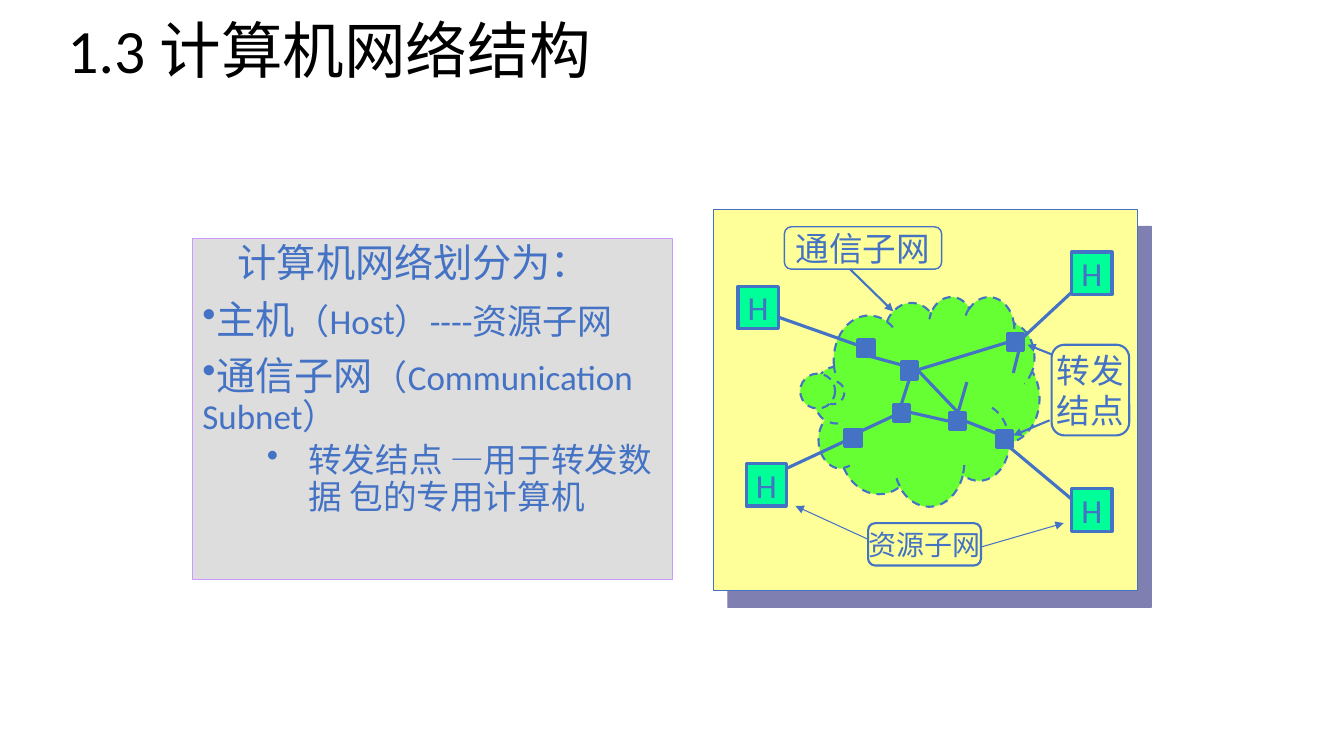
import pptx
import pptx.util
import pptx.dml.color
import pptx.enum.dml
import pptx.enum.shapes
import pptx.enum.text
import pptx.oxml
import pptx.oxml.ns

KIND = pptx.enum.shapes.MSO_SHAPE
ANCHOR = pptx.enum.text.MSO_ANCHOR
ALIGN = pptx.enum.text.PP_ALIGN
NS = pptx.oxml.ns.nsdecls("a")
COLS, ROWS = 1333, 750
CELL = pptx.util.Inches(0.01)
BLUE = "4472C4"

HOSTS = [(24, 76), (355, 42), (355, 277), (32, 252)]
NODES = [(143, 129), (186, 151), (291, 123), (178, 193),
         (234, 201), (130, 218), (280, 219)]
LINKS = [(65, 260, 138, 226), (48, 101, 147, 136), (371, 67, 299, 134),
         (363, 294, 283, 227), (194, 168, 186, 193), (202, 159, 242, 201),
         (194, 201, 234, 210), (202, 159, 290, 132), (250, 210, 283, 223),
         (139, 223, 186, 201), (153, 145, 197, 157), (242, 202, 251, 171),
         (297, 162, 303, 138)]
ARROWS = [((153, 327, 81, 294), 0.75), ((264, 335, 347, 311), 0.75),
          ((135, 59, 178, 101), 1.5), ((336, 144, 311, 134), 1.5),
          ((333, 209, 297, 224), 1.5)]
LABELS = [(["资源子网"], (153, 311, 112, 42), 20, 1.5),
          (["通信子网"], (70, 17, 156, 42), 24, 1),
          (["转发", "结点"], (335, 134, 77, 90), 24, 1.5)]


def tint(code):
    """Turn a hex string into a colour."""
    return pptx.dml.color.RGBColor.from_string(code)


def inside(box, part):
    """Shift a part given in cells into its box."""
    return (box[0] + part[0], box[1] + part[1]) + tuple(part[2:])


def add(slide, kind, box, fill=None, line=BLUE, width=2.25):
    """Add a flat preset shape at a box given in cells."""
    shape = slide.shapes.add_shape(kind, *(n * CELL for n in box))
    shape.shadow.inherit = False
    if fill:
        shape.fill.solid()
        shape.fill.fore_color.rgb = tint(fill)
    else:
        shape.fill.background()
    shape.line.color.rgb = tint(line)
    shape.line.width = pptx.util.Pt(width)
    return shape


def join(slide, box, ends, width=2.25, arrow=False):
    """Draw a straight line between two points of a box."""
    x, y = box[:2]
    ends = [(n + o) * CELL for n, o in zip(ends, (x, y, x, y))]
    line = slide.shapes.add_connector(
        pptx.enum.shapes.MSO_CONNECTOR.STRAIGHT, *ends)
    line.line.color.rgb = tint(BLUE)
    line.line.width = pptx.util.Pt(width)
    if arrow:
        line.line._get_or_add_ln().append(
            pptx.oxml.parse_xml(f'<a:tailEnd {NS} type="triangle"/>'))
    line._element.spPr.append(pptx.oxml.parse_xml(f"<a:effectLst {NS}/>"))


def write(frame, *runs, size=24, color=BLUE, align=ALIGN.LEFT, gap=0,
          space=1.0, bullet=False, left=0, indent=0):
    """Write one paragraph whose runs are texts or (text, size, font)."""
    para = frame.paragraphs[0]
    if para.runs:
        para = frame.add_paragraph()
    props = para._p.get_or_add_pPr()
    props.set("marL", str(left * CELL))
    props.set("indent", str(indent * CELL))
    if bullet:
        props.append(pptx.oxml.parse_xml(f'<a:buChar {NS} char="•"/>'))
    para.alignment, para.line_spacing = align, space
    para.space_before = pptx.util.Pt(gap)
    for item in runs:
        words, points, face = (
            (item, size, "Calibri") if isinstance(item, str) else item)
        run = para.add_run()
        run.text = words
        run.font.size, run.font.name = pptx.util.Pt(points), face
        run.font.color.rgb = tint(color)


def label(shape, lines, size=24):
    """Centre lines of text in a shape."""
    frame = shape.text_frame
    frame.word_wrap = False
    frame.vertical_anchor = ANCHOR.MIDDLE
    for words in lines:
        write(frame, words, size=size, align=ALIGN.CENTER)


def title(slide, box):
    """Place the slide heading."""
    frame = slide.shapes.add_textbox(*(n * CELL for n in box)).text_frame
    frame.word_wrap = True
    frame.vertical_anchor = ANCHOR.MIDDLE
    write(frame, "1.3 计算机网络结构", size=44, color="000000",
          space=0.9, left=28)


def body(slide, box):
    """Place the grey panel with the bullet list."""
    frame = add(slide, KIND.RECTANGLE, box, "DDDDDD", "CC99FF", 0.75).text_frame
    frame.word_wrap = True
    frame.vertical_anchor = ANCHOR.TOP
    write(frame, "计算机网络划分为：", size=28, space=0.9, indent=35)
    for head, tail in [("主机", "（Host）----资源子网"),
                       ("通信子网", "（Communication Subnet）")]:
        write(frame, head, (tail, 25, "Calibri"), size=28, space=0.9,
              gap=10, bullet=True)
    write(frame, "转发结点 ", ("—", 24, "Arial"), "用于转发数据 包的专用计算机",
          space=0.9, gap=5, bullet=True, left=105, indent=-41)


def diagram(slide, box):
    """Place the network diagram on its yellow panel."""
    panel = add(slide, KIND.RECTANGLE, box, "FFFF99", width=0.75)
    effects = panel._element.spPr.find(pptx.oxml.ns.qn("a:effectLst"))
    effects.append(pptx.oxml.parse_xml(
        f'<a:outerShdw {NS} blurRad="0" dist="{pptx.util.Pt(15.6)}" '
        'dir="3000000" algn="ctr" rotWithShape="0"><a:srgbClr val="000066">'
        '<a:alpha val="50000"/></a:srgbClr></a:outerShdw>'))
    cloud = add(slide, KIND.CLOUD_CALLOUT, inside(box, (99, 86, 224, 208)),
                "66FF33", width=1.5)
    cloud.adjustments[0], cloud.adjustments[1] = -0.4, -0.04
    cloud.line.dash_style = pptx.enum.dml.MSO_LINE.DASH
    for ends in LINKS:
        join(slide, box, ends)
    for spot in HOSTS:
        host = add(slide, KIND.RECTANGLE, inside(box, spot + (40, 42)), "00FF99")
        label(host, ["H"])
    for spot in NODES:
        add(slide, KIND.RECTANGLE, inside(box, spot + (16, 17)), BLUE)
    for lines, part, size, width in LABELS:
        tag = add(slide, KIND.ROUNDED_RECTANGLE, inside(box, part), width=width)
        label(tag, lines, size)
    for ends, width in ARROWS:
        join(slide, box, ends, width, arrow=True)


def main():
    """Build and save the slide."""
    deck = pptx.Presentation()
    deck.slide_width, deck.slide_height = COLS * CELL, ROWS * CELL
    slide = deck.slides.add_slide(deck.slide_layouts[6])
    title(slide, (29, 23, 832, 61))
    body(slide, (191, 237, 476, 338))
    diagram(slide, (708, 208, 420, 378))
    deck.save("out.pptx")


if __name__ == "__main__":
    main()
